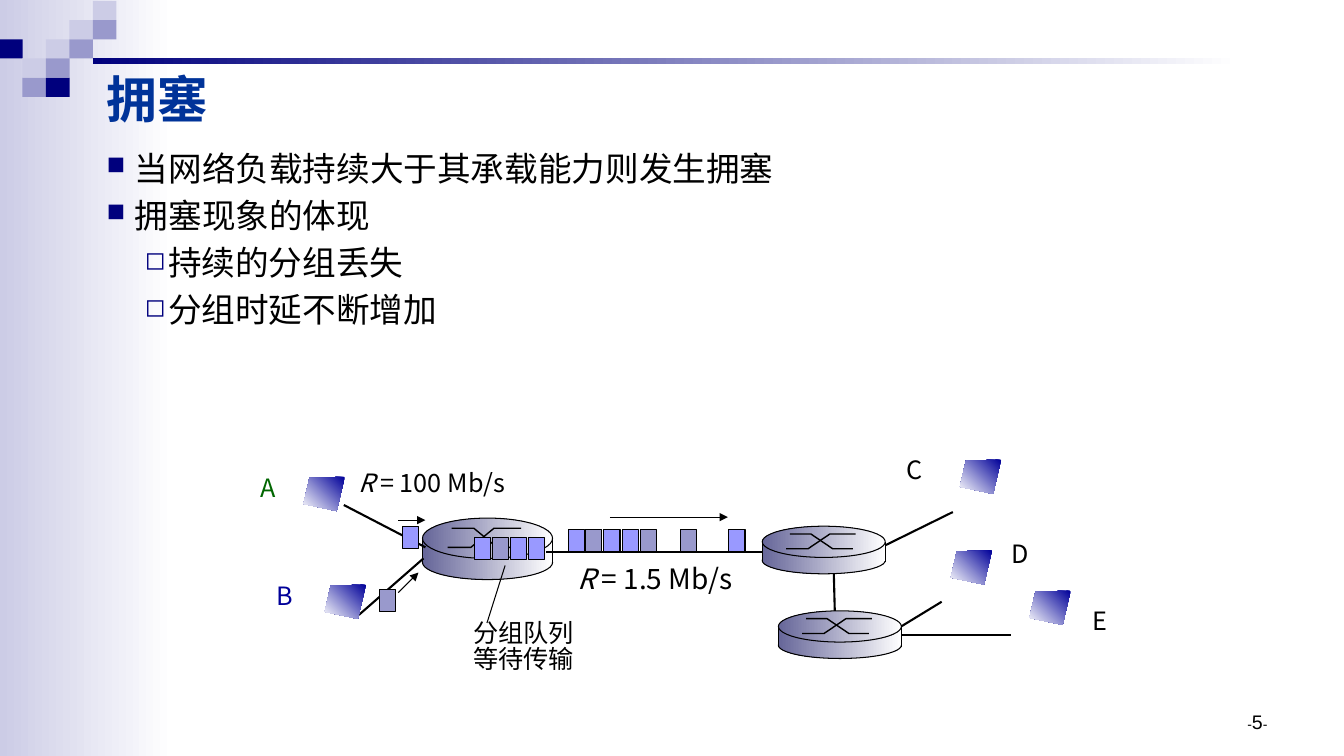
"""Build the slide on network congestion, with its packet queue diagram."""
from dataclasses import dataclass

from lxml.etree import SubElement
from pptx import Presentation
from pptx.dml.color import RGBColor
from pptx.enum.shapes import MSO_CONNECTOR as Connector, MSO_SHAPE as Shape
from pptx.enum.text import MSO_ANCHOR as Anchor, PP_ALIGN as Align
from pptx.oxml.ns import qn
from pptx.util import Inches, Pt


@dataclass(frozen=True)
class Theme:
    navy: str = "00007D"
    blue: str = "003399"
    device: str = "000099"
    green: str = "006600"
    steel: str = "666699"
    violet: str = "9999FF"
    lavender: str = "9999CC"
    pale: str = "CCCCE6"
    white: str = "FFFFFF"
    black: str = "000000"
    cjk: str = "Noto Sans CJK SC"
    serif: str = "Times New Roman"
    sans: str = "Arial"
    title: int = 36
    body: int = 24
    rate: int = 20
    label: int = 18
    number: int = 14
    dash: int = 10


theme = Theme()
presentation = Presentation()
presentation.slide_width = Inches(13.33)
presentation.slide_height = Inches(7.5)
slide = presentation.slides.add_slide(presentation.slide_layouts[6])
shapes = slide.shapes


def paint(shape, start, end=None, angle=0, outline=0):
    """Fill a shape with a colour or a gradient, and outline it if asked."""
    shape.shadow.inherit = False
    if end:
        shape.fill.gradient()
        shape.fill.gradient_angle = angle
        for stop, color in zip(shape.fill.gradient_stops, (start, end)):
            stop.color.rgb = RGBColor.from_string(color)
    elif start:
        shape.fill.solid()
        shape.fill.fore_color.rgb = RGBColor.from_string(start)
    else:
        shape.fill.background()
    if outline:
        shape.line.color.rgb = RGBColor.from_string(theme.black)
        shape.line.width = Pt(outline)
    else:
        shape.line.fill.background()


def add_line(x1, y1, x2, y2, width=0.75, arrow=False):
    """Draw a straight black line, with an arrowhead at its end if asked."""
    line = shapes.add_connector(Connector.STRAIGHT, *map(Inches, (x1, y1, x2, y2)))
    line.line.color.rgb = RGBColor.from_string(theme.black)
    line.line.width = Pt(width)
    properties = line._element.spPr
    if arrow:
        SubElement(properties.find(qn("a:ln")), qn("a:tailEnd"), type="triangle")
    SubElement(properties, qn("a:effectLst"))


side_band = shapes.add_shape(Shape.RECTANGLE, 0, 0, Inches(1.73), Inches(7.5))
paint(side_band, theme.pale, theme.white)

mosaic = [
    (1, 4, theme.lavender), (3, 1, theme.pale), (4, 0, theme.pale),
    (2, 4, theme.navy), (4, 1, theme.lavender), (2, 2, theme.pale),
    (0, 2, theme.navy), (3, 2, theme.lavender), (1, 3, theme.pale),
    (2, 3, theme.lavender),
]
for column, row, color in mosaic:
    tile = shapes.add_shape(Shape.RECTANGLE, Inches(-0.01 + 0.2325 * column),
                            Inches(0.01 + 0.19 * row), Inches(0.235), Inches(0.19))
    paint(tile, color)

title_rule = shapes.add_shape(Shape.RECTANGLE, Inches(0.92), Inches(0.58),
                              Inches(11.37), Inches(0.06))
paint(title_rule, theme.navy, theme.white)

links = [
    (3.41, 5.01, 4.22, 5.43), (3.56, 6.1, 4.2, 5.54), (5.42, 5.48, 7.63, 5.48),
    (8.28, 6.08, 8.27, 5.68), (8.78, 5.41, 9.45, 5.08), (8.95, 6.3, 10.03, 6.3),
    (9.34, 5.97, 8.93, 6.22),
]
routers = [(4.19, 5.14, 1.29, 0.4), (7.56, 5.22, 1.22, 0.31), (7.72, 6.06, 1.22, 0.31)]
for index, (left, top, width, rim) in enumerate(routers):
    across, down = width / 1.29, rim / 0.4
    parts = [(Shape.OVAL, 0.27, 0.34, 0.75), (Shape.RECTANGLE, 0.23, 0.21, 0),
             (Shape.OVAL, 0, 0.4, 0.75)]
    for kind, offset, height, outline in parts:
        part = shapes.add_shape(kind, Inches(left), Inches(top + offset * down),
                                Inches(width), Inches(height * down))
        paint(part, theme.steel, theme.white, outline=outline)
    strokes = [((0.25, 0.29), (0.48, 0.29), (0.71, 0.1), (0.98, 0.1)),
               ((0.29, 0.1), (0.51, 0.1), (0.74, 0.29), (0.95, 0.29))]
    for stroke in strokes:
        points = [(Inches(left + x * across), Inches(top + y * down)) for x, y in stroke]
        builder = shapes.build_freeform(*points[0])
        builder.add_line_segments(points[1:], close=False)
        paint(builder.convert_to_shape(), None, outline=1)
    for x in (left, left + width):
        add_line(x, top + 0.2 * down, x, top + 0.46 * down)
    if index == 0:
        for link in links:
            add_line(*link, width=1.5)

packets = [(x, 5.25, color) for x, color in zip(
    (5.64, 5.81, 5.99, 6.17, 6.35, 6.75, 7.23),
    (theme.violet, theme.lavender, theme.violet, theme.violet,
     theme.lavender, theme.lavender, theme.violet))]
packets += [(4.71 + 0.177 * place, 5.33, color) for place, color in enumerate(
    (theme.violet, theme.lavender, theme.violet, theme.violet))]
packets += [(3.99, 5.22, theme.violet), (3.76, 5.85, theme.lavender)]
for left, top, color in packets:
    packet = shapes.add_shape(Shape.RECTANGLE, Inches(left), Inches(top),
                              Inches(0.16), Inches(0.22))
    paint(packet, color, outline=0.75)

for arrow in [(3.95, 5.16, 4.22, 5.16), (3.95, 5.88, 4.15, 5.68), (6.05, 5.13, 7.22, 5.13)]:
    add_line(*arrow, arrow=True)
add_line(4.83, 6.18, 5.01, 5.61)

outline_points = [(0.41, 0), (0.06, 0.01), (0, 0.27), (0.33, 0.34)]
for left, top in [(9.43, 5.46), (3.01, 4.73), (3.22, 5.8), (10.21, 5.86), (9.52, 4.56)]:
    points = [(Inches(left + x), Inches(top + y)) for x, y in outline_points]
    builder = shapes.build_freeform(*points[0])
    builder.add_line_segments(points[1:], close=True)
    paint(builder.convert_to_shape(), theme.device, theme.white, angle=225)

body_lines = [
    ("当网络负载持续大于其承载能力则发生拥塞", "■", 0.28, -0.28),
    ("拥塞现象的体现", "■", 0.28, -0.28),
    ("持续的分组丢失", "◻", 0.61, -0.23),
    ("分组时延不断增加", "◻", 0.61, -0.23),
]
texts = [
    ((0.96, 0.62, 6.85, 0.71), ["拥塞"], theme.title, theme.blue, theme.serif),
    ((0.96, 1.42, 9, 2.09), [line[0] for line in body_lines],
     theme.body, theme.black, theme.cjk),
    ((9.56, 6.83, 3.11, 0.5), ["-|5|-"], theme.dash, theme.black, theme.sans),
    ((2.49, 4.64, 0.4, 0.4), ["A"], theme.label, theme.green, theme.cjk),
    ((2.64, 5.71, 0.4, 0.4), ["B"], theme.label, theme.device, theme.cjk),
    ((8.89, 4.46, 0.4, 0.4), ["C"], theme.label, theme.black, theme.cjk),
    ((9.93, 5.29, 0.44, 0.4), ["D"], theme.label, theme.black, theme.cjk),
    ((10.74, 5.96, 0.4, 0.4), ["E"], theme.label, theme.black, theme.cjk),
    ((3.46, 4.59, 1.86, 0.4), ["R| = 100 Mb/s"], theme.label, theme.black, theme.cjk),
    ((5.63, 5.52, 1.94, 0.44), ["R| = 1.5 Mb/s"], theme.rate, theme.black, theme.cjk),
    ((3.91, 6.12, 2.57, 0.62), ["分组队列", "等待传输"],
     theme.label, theme.black, theme.cjk),
]
for place, lines, size, color, font_name in texts:
    frame = shapes.add_textbox(*map(Inches, place)).text_frame
    frame.word_wrap = True
    for index, line in enumerate(lines):
        paragraph = frame.paragraphs[0] if index == 0 else frame.add_paragraph()
        for piece in line.split("|"):
            run = paragraph.add_run()
            run.text = piece
            if piece == "R":
                run.font.italic = True
            elif piece == "5":
                run.font.size = Pt(theme.number)
        if size == theme.body:
            text, bullet, margin, indent = body_lines[index]
            properties = paragraph._p.get_or_add_pPr()
            properties.set("marL", str(Inches(margin)))
            properties.set("indent", str(Inches(indent)))
            paragraph.level = int(margin > 0.28)
            bullet_color = SubElement(properties, qn("a:buClr"))
            SubElement(bullet_color, qn("a:srgbClr"), val=theme.navy)
            SubElement(properties, qn("a:buSzPct"), val="75000")
            SubElement(properties, qn("a:buChar"), char=bullet)
            paragraph.line_spacing = Pt(28.8)
            if index:
                paragraph.space_before = Pt(4.8)
        elif size == theme.title:
            frame.vertical_anchor = Anchor.MIDDLE
            paragraph.font.bold = True
        elif size == theme.dash:
            frame.vertical_anchor = Anchor.BOTTOM
            paragraph.alignment = Align.RIGHT
        elif len(lines) > 1:
            paragraph.alignment = Align.CENTER
            paragraph.line_spacing = Pt(18.5)
        paragraph.font.size = Pt(size)
        paragraph.font.color.rgb = RGBColor.from_string(color)
        paragraph.font.name = font_name
        SubElement(paragraph.font._element, qn("a:ea"), typeface=theme.cjk)

presentation.save("out.pptx")
